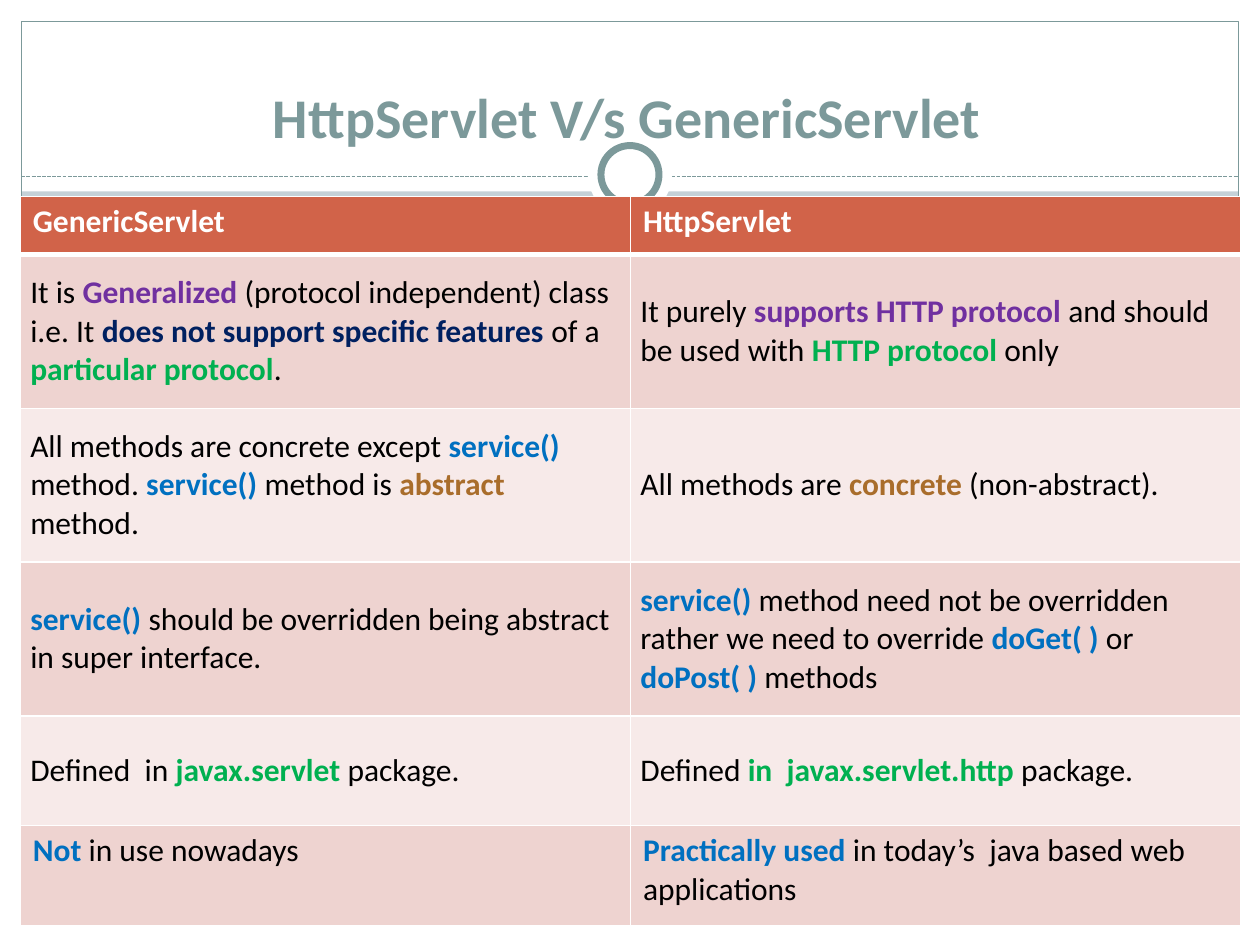
from dataclasses import dataclass

from lxml import etree
from pptx import Presentation
from pptx.dml.color import RGBColor
from pptx.enum.dml import MSO_LINE
from pptx.enum.shapes import MSO_CONNECTOR, MSO_SHAPE as SHAPE
from pptx.enum.text import MSO_ANCHOR as ANCHOR, PP_ALIGN as ALIGN
from pptx.oxml.ns import qn
from pptx.util import Cm, Pt


@dataclass(frozen=True)
class Theme:
    font: str = "Calibri"
    title_size: int = 32
    body_size: int = 18
    white: str = "FFFFFF"
    black: str = "000000"
    background: str = "C5D1D7"
    footer: str = "8CADAE"
    accent: str = "7C999A"
    header: str = "D16349"
    bands: tuple = ("EED3D0", "F7EAE9")
    purple: str = "7030A0"
    navy: str = "002060"
    green: str = "00B050"
    blue: str = "0070C0"
    brown: str = "A96D2B"


T = Theme()
W, H = 25.4, 19.05
MARGIN = 0.43

# A plain string is ordinary text; a (text, colour) pair is bold and coloured.
HEADINGS = ("GenericServlet", "HttpServlet")
COMPARISON = [
    (["It is ", ("Generalized ", T.purple), "(protocol independent) class i.e. It ",
      ("does not support specific features ", T.navy), "of a ",
      ("particular protocol", T.green), "."],
     ["It purely ", ("supports HTTP protocol ", T.purple), "and should be used with ",
      ("HTTP protocol ", T.green), "only"]),
    (["All methods are concrete except ", ("service() ", T.blue), "method. ",
      ("service() ", T.blue), "method is ", ("abstract", T.brown), " method."],
     ["All methods are ", ("concrete", T.brown), " (non-abstract)."]),
    ([("service() ", T.blue), "should be overridden being abstract in super interface."],
     [("service() ", T.blue), "method need not be overridden rather we need to override ",
      ("doGet( ) ", T.blue), "or ", ("doPost( ) ", T.blue), "methods"]),
    (["Defined  in ", ("javax.servlet ", T.green), "package."],
     ["Defined ", ("in  javax.servlet.http ", T.green), "package."]),
    ([("Not ", T.blue), "in use nowadays"],
     [("Practically used ", T.blue), "in today’s  java based web applications"]),
]
ROW_HEIGHTS = (1.17, 3.1, 3.1, 3.1, 2.21, 2.03)


def rgb(value):
    return RGBColor.from_string(value)


class SlideBuilder:
    def __init__(self, prs, theme):
        self.theme = theme
        self.s = prs.slides.add_slide(prs.slide_layouts[6])
        fill = self.s.background.fill
        fill.solid()
        fill.fore_color.rgb = rgb(theme.background)

    def shape(self, kind, x, y, w, h, fill=None, line=None, width=0.75):
        sp = self.s.shapes.add_shape(kind, Cm(x), Cm(y), Cm(w), Cm(h))
        sp.shadow.inherit = False
        if fill:
            sp.fill.solid()
            sp.fill.fore_color.rgb = rgb(fill)
        else:
            sp.fill.background()
        if line:
            sp.line.color.rgb = rgb(line)
            sp.line.width = Pt(width)
        else:
            sp.line.fill.background()

    def circle(self, cx, cy, diameter, **style):
        self.shape(SHAPE.OVAL, cx - diameter / 2, cy - diameter / 2,
                   diameter, diameter, **style)

    def dashed_line(self, x1, x2, y):
        line = self.s.shapes.add_connector(
            MSO_CONNECTOR.STRAIGHT, Cm(x1), Cm(y), Cm(x2), Cm(y))
        line.line.color.rgb = rgb(self.theme.accent)
        line.line.width = Pt(0.75)
        line.line.dash_style = MSO_LINE.SQUARE_DOT
        etree.SubElement(line._element.spPr, qn("a:effectLst"))

    def title(self, text, x, y, w, h):
        tf = self.s.shapes.add_textbox(Cm(x), Cm(y), Cm(w), Cm(h)).text_frame
        tf.word_wrap = True
        tf.vertical_anchor = ANCHOR.BOTTOM
        p = tf.paragraphs[0]
        p.alignment = ALIGN.CENTER
        p.text = text
        self.set_font(p.font, self.theme.title_size, self.theme.accent, True)

    def set_font(self, font, size, color=None, bold=None):
        font.name, font.size, font.bold = self.theme.font, Pt(size), bold
        if color:
            font.color.rgb = rgb(color)

    def cell(self, cell, parts, fill, inset=False, top=1, bottom=1, heading=False):
        p = cell.text_frame.paragraphs[0]
        self.set_font(p.font, self.theme.body_size)
        plain = self.theme.white if heading else self.theme.black
        for part in parts:
            text, color = (part, plain) if isinstance(part, str) else part
            r = p.add_run()
            r.text = text
            r.font.bold = heading or not isinstance(part, str)
            r.font.color.rgb = rgb(color)
        if inset:
            cell.vertical_anchor = ANCHOR.MIDDLE
            cell.margin_left = cell.margin_right = Cm(0.2)
            cell.margin_top = cell.margin_bottom = Cm(0.2)
        self.borders(cell, L=1, R=1, T=top, B=bottom)
        cell.fill.solid()
        cell.fill.fore_color.rgb = rgb(fill)

    def borders(self, cell, **widths):
        """Draw white borders; call before the fill, which must follow them."""
        tc_pr = cell._tc.get_or_add_tcPr()
        for side, width in widths.items():
            ln = etree.SubElement(tc_pr, qn(f"a:ln{side}"), w=str(Pt(width)))
            solid = etree.SubElement(ln, qn("a:solidFill"))
            etree.SubElement(solid, qn("a:srgbClr"), val=self.theme.white)

    def table(self, headings, rows, x, y, col_width, heights):
        table = self.s.shapes.add_table(
            len(heights), len(headings), Cm(x), Cm(y),
            Cm(col_width * len(headings)), Cm(sum(heights))).table
        for column in table.columns:
            column.width = Cm(col_width)
        for row, height in zip(table.rows, heights):
            row.height = Cm(height)
        for j, text in enumerate(headings):
            self.cell(table.cell(0, j), [text], self.theme.header,
                      bottom=3, heading=True)
        for i, row in enumerate(rows, 1):
            for j, parts in enumerate(row):
                self.cell(table.cell(i, j), parts, self.theme.bands[(i - 1) % 2],
                          inset=i < len(rows), top=3 if i == 1 else 1)


def main():
    prs = Presentation()
    prs.slide_width, prs.slide_height = Cm(W), Cm(H)
    b = SlideBuilder(prs, T)

    for box in ((0, H - MARGIN, W, MARGIN), (0, 0, W, 3.86),
                (0, 0, MARGIN, H), (W - MARGIN, 0, MARGIN, H)):
        b.shape(SHAPE.RECTANGLE, *box, fill=T.white)
    inner = W - 2 * MARGIN
    b.shape(SHAPE.RECTANGLE, MARGIN, 17.75, inner, 0.87, fill=T.footer)
    b.shape(SHAPE.RECTANGLE, MARGIN, MARGIN, inner, H - 2 * MARGIN, line=T.accent)
    b.dashed_line(MARGIN, W - MARGIN, 3.56)
    b.circle(W / 2, 3.52, 1.7, fill=T.white)
    b.circle(W / 2, 3.52, 1.17, fill=T.white, line=T.accent, width=4)

    b.title("HttpServlet V/s GenericServlet", 0.79, 0.41, 23.7, 2.74)
    b.table(HEADINGS, COMPARISON, 0.41, 3.96, 12.3, ROW_HEIGHTS)
    prs.save("out.pptx")


if __name__ == "__main__":
    main()
